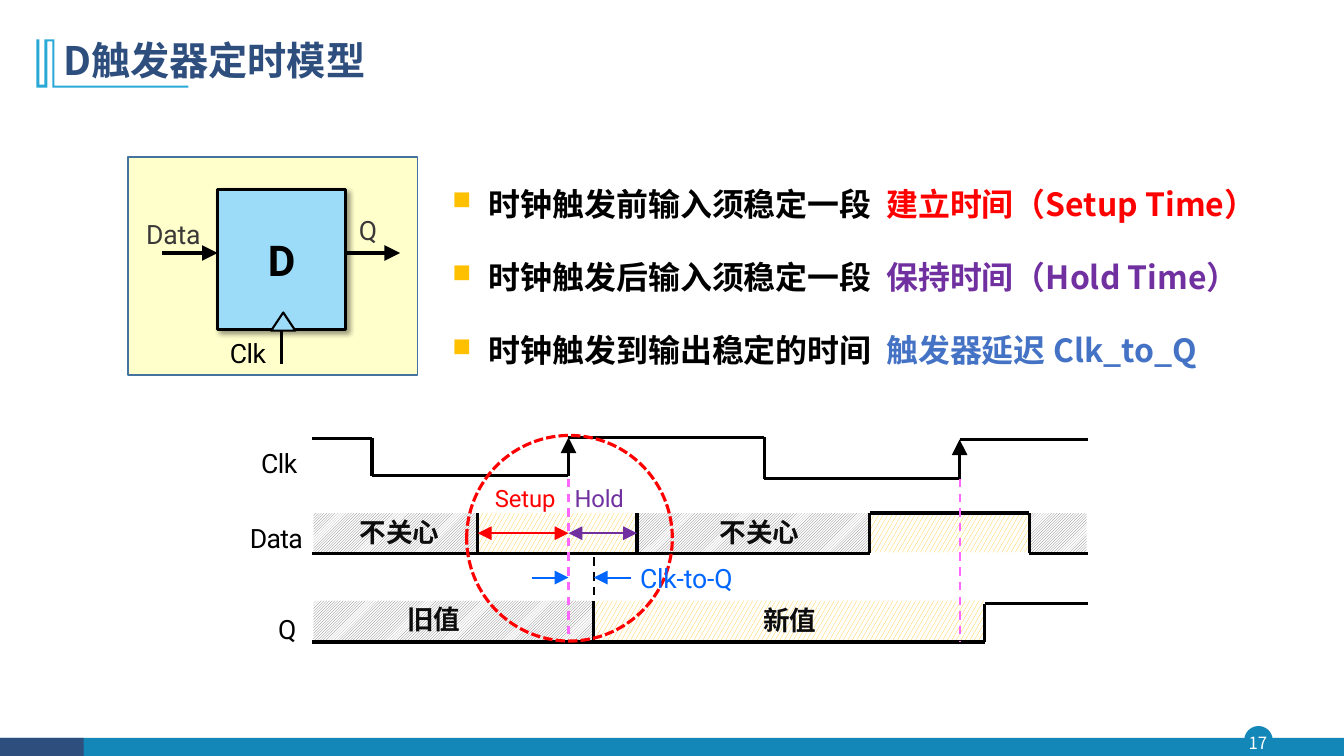
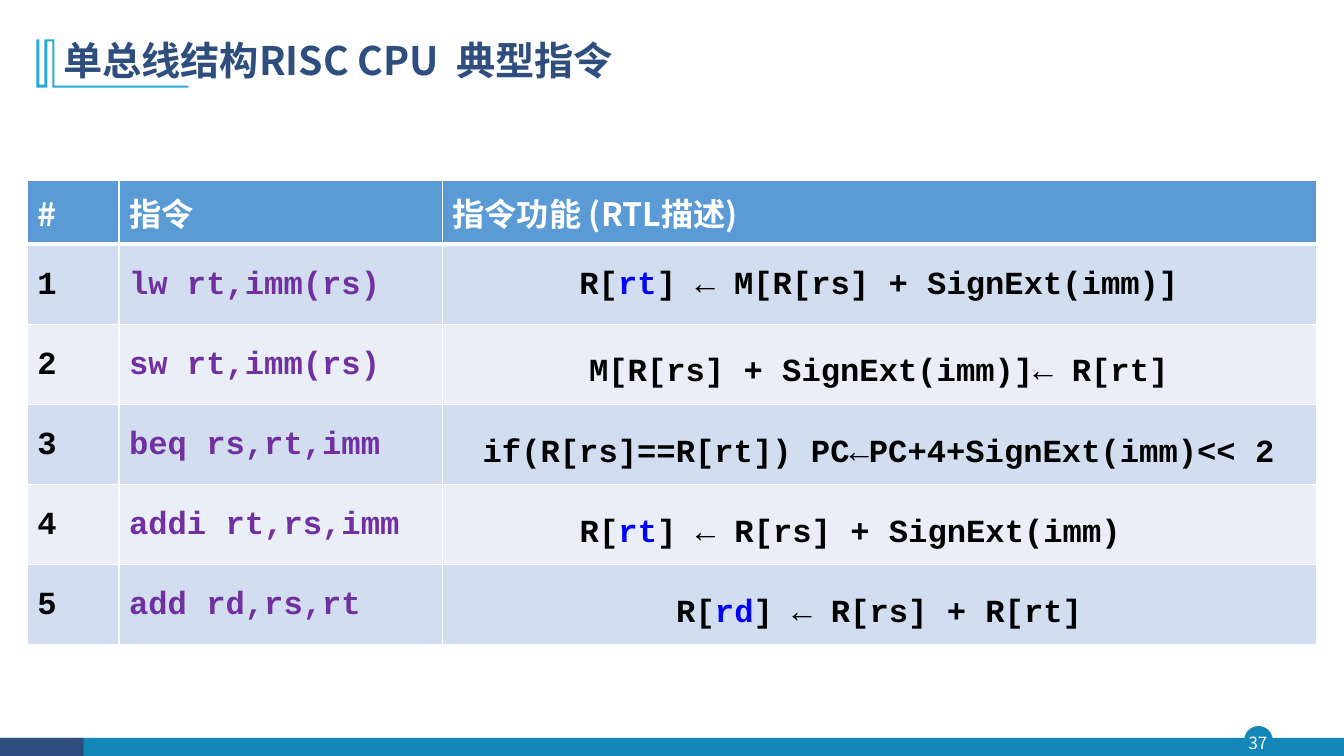
from dataclasses import dataclass
from itertools import pairwise

from pptx import Presentation
from pptx.dml.color import RGBColor
from pptx.enum.dml import MSO_LINE, MSO_PATTERN
from pptx.enum.shapes import MSO_CONNECTOR, MSO_SHAPE
from pptx.enum.text import MSO_ANCHOR, PP_ALIGN
from pptx.oxml import parse_xml
from pptx.oxml.ns import nsdecls, qn
from pptx.oxml.xmlchemy import OxmlElement
from pptx.util import Emu, Inches, Pt

GRID = Inches(0.1)
HEADING_FONT, LABEL_FONT, CODE_FONT = "Noto Sans CJK SC", "Roboto", "Courier New"

BLACK = RGBColor(0x00, 0x00, 0x00)
WHITE = RGBColor(0xFF, 0xFF, 0xFF)
INK = RGBColor(0x0D, 0x0D, 0x0D)
DARK_GREY = RGBColor(0x3B, 0x38, 0x38)
GREY = RGBColor(0x76, 0x71, 0x71)
NAVY = RGBColor(0x2E, 0x4E, 0x7E)
TEAL = RGBColor(0x13, 0x87, 0xB7)
SKY = RGBColor(0x28, 0xA9, 0xD6)
GOLD = RGBColor(0xFF, 0xC0, 0x00)
RED = RGBColor(0xFF, 0x00, 0x00)
PURPLE = RGBColor(0x70, 0x30, 0xA0)
STEEL = RGBColor(0x44, 0x72, 0xC4)
BLUE = RGBColor(0x00, 0x00, 0xFF)
BRIGHT_BLUE = RGBColor(0x00, 0x66, 0xFF)
PINK = RGBColor(0xFF, 0x66, 0xFF)
CREAM = RGBColor(0xFF, 0xFF, 0xCC)
CREAM_EDGE = RGBColor(0x43, 0x73, 0x9E)
PALE_BLUE = RGBColor(0x9C, 0xDC, 0xF8)
HEADER_FILL = RGBColor(0x5B, 0x9B, 0xD5)
ROW_FILLS = (RGBColor(0xD2, 0xDE, 0xEF), RGBColor(0xEA, 0xEF, 0xF7))

BULLETS = [
    ("时钟触发前输入须稳定一段  ", "建立时间（Setup Time）", RED),
    ("时钟触发后输入须稳定一段  ", "保持时间（Hold Time）", PURPLE),
    ("时钟触发到输出稳定的时间  ", "触发器延迟 Clk_to_Q", STEEL),
]
HEADERS = ["#", "指令", "指令功能 (RTL描述)"]
INSTRUCTIONS = [
    ("lw rt,imm(rs)", ["R[", ("rt", BLUE), "] ← M[R[rs] + SignExt(imm)]"]),
    ("sw rt,imm(rs)", ["M[R[rs] + SignExt(imm)]← R[rt]"]),
    ("beq rs,rt,imm", ["if(R[rs]==R[rt]) PC←PC+4+SignExt(imm)<< 2"]),
    ("addi rt,rs,imm", ["R[", ("rt", BLUE), "] ← R[rs] + SignExt(imm)"]),
    ("add rd,rs,rt", ["R[", ("rd", BLUE), "] ← R[rs] + R[rt]"]),
]


def units(count):
    return Emu(round(count * GRID))


@dataclass
class Region:
    """A part of the slide, measured in grid columns and rows."""
    left: float
    top: float
    cols: float
    rows: float

    def point(self, col, row):
        return units(self.left + col), units(self.top + row)

    def frame(self, col=0, row=0, cols=None, rows=None):
        width = self.cols if cols is None else cols
        height = self.rows if rows is None else rows
        return *self.point(col, row), units(width), units(height)


SLIDE = Region(0, 0, 133.33, 75)


def write(para, spans, *, size, font=LABEL_FONT, color=BLACK, bold=False,
          align=None, spacing=None, tracking=0):
    """Fill a paragraph; a span is a text or a (text, colour) pair."""
    para.alignment = align
    para.line_spacing = spacing
    for span in [spans] if isinstance(spans, str) else spans:
        text, span_color = (span, color) if isinstance(span, str) else span
        run = para.add_run()
        run.text = text
        run.font.name, run.font.size, run.font.bold = font, Pt(size), bold
        run.font.color.rgb = span_color
        properties = run.font._element
        if tracking:
            properties.set("spc", str(round(tracking * 100)))
        east_asian = OxmlElement("a:ea")
        east_asian.set("typeface", font)
        properties.find(qn("a:latin")).addnext(east_asian)


def add_text(page, frame, spans, *, anchor=MSO_ANCHOR.TOP, inset=True, **style):
    text_frame = page.shapes.add_textbox(*frame).text_frame
    text_frame.word_wrap = True
    text_frame.vertical_anchor = anchor
    if not inset:
        text_frame.margin_left = text_frame.margin_right = 0
        text_frame.margin_top = text_frame.margin_bottom = 0
    write(text_frame.paragraphs[0], spans, **style)


def add_label(page, region, text, col, row, *, size=19, leading=19.8,
              tracking=-0.1, **style):
    add_text(page, region.frame(col, row, 11, 2.8), text, inset=False,
             size=size, spacing=Pt(leading), tracking=tracking, **style)


def paint(shape, *, fill=None, pattern=None, line=None, width=1, dash=None):
    shape.shadow.inherit = False
    if pattern:
        shape.fill.patterned()
        shape.fill.pattern, shape.fill.fore_color.rgb = pattern
        shape.fill.back_color.rgb = WHITE
    elif fill is None:
        shape.fill.background()
    else:
        shape.fill.solid()
        shape.fill.fore_color.rgb = fill
    if line is None:
        shape.line.fill.background()
    else:
        shape.line.color.rgb = line
        shape.line.width = Pt(width)
        shape.line.dash_style = dash
    return shape


def add_block(page, frame, kind=MSO_SHAPE.RECTANGLE, **look):
    return paint(page.shapes.add_shape(kind, *frame), **look)


def add_line(page, region, start, end, *, color=BLACK, width=2.25, dash=None,
             arrows=()):
    """Draw a line; arrows names the ends with a head: headEnd, tailEnd."""
    line = page.shapes.add_connector(
        MSO_CONNECTOR.STRAIGHT, *region.point(*start), *region.point(*end))
    line.line.color.rgb = color
    line.line.width = Pt(width)
    line.line.dash_style = dash
    properties = line._element.spPr
    for name in arrows:
        arrow = OxmlElement(f"a:{name}")
        for key, value in (("type", "triangle"), ("w", "lg"), ("len", "lg")):
            arrow.set(key, value)
        properties.find(qn("a:ln")).append(arrow)
    properties.append(OxmlElement("a:effectLst"))
    return line


def add_title_mark(page, region):
    bottom, right = region.rows, region.cols
    outline = [(1.8, 0), (1.8, 4.6), (right, 4.6), (right, bottom),
               (1.6, bottom), (1.6, 0.2), (1.1, 0.2), (1.1, bottom),
               (0, bottom), (0, 0), (0.3, 0), (0.3, 4.5), (0.8, 4.5), (0.8, 0)]
    points = [(round(col * 10), round(row * 10)) for col, row in outline]
    builder = page.shapes.build_freeform(*points[0], scale=GRID / 10)
    builder.add_line_segments(points[1:], close=True)
    paint(builder.convert_to_shape(*region.point(0, 0)), fill=SKY)


def add_page(deck, title, number):
    """Add a slide with the shared title and footer."""
    page = deck.slides.add_slide(deck.slide_layouts[6])
    footer = Region(0, 72.1, SLIDE.cols, 2.9)
    add_block(page, footer.frame(123.5, 0, 2.7, 2.7), MSO_SHAPE.OVAL,
              fill=TEAL, line=TEAL)
    add_block(page, footer.frame(0, 1.1, rows=1.8), fill=TEAL)
    add_block(page, footer.frame(0, 1.1, 8.3, 1.8), fill=NAVY)
    add_text(page, footer.frame(123.2, 0, 3.2, 3.1), str(number), inset=False,
             anchor=MSO_ANCHOR.MIDDLE, align=PP_ALIGN.CENTER, size=12,
             font=HEADING_FONT, color=WHITE)
    add_title_mark(page, Region(3.6, 3.9, 15.1, 4.8))
    add_text(page, SLIDE.frame(5.3, 2.8, 115, 6.8), title, size=28, bold=True,
             anchor=MSO_ANCHOR.MIDDLE, font=HEADING_FONT, color=NAVY, spacing=0.9)
    return page


def add_bullets(page, region):
    text_frame = page.shapes.add_textbox(*region.frame()).text_frame
    text_frame.word_wrap = True
    for index, (lead, term, color) in enumerate(BULLETS):
        para = text_frame.add_paragraph() if index else text_frame.paragraphs[0]
        properties = para._p.get_or_add_pPr()
        properties.set("marL", str(units(3.6)))
        properties.set("indent", str(-units(3.6)))
        for xml in (f'<a:buClr {nsdecls("a")}><a:srgbClr val="{GOLD}"/></a:buClr>',
                    f'<a:buSzPct {nsdecls("a")} val="80000"/>',
                    f'<a:buChar {nsdecls("a")} char="■"/>'):
            properties.append(parse_xml(xml))
        para.space_after = Pt(5.7)
        if index:
            para.space_before = Pt(5.7)
        write(para, [lead, (term, color)], size=22.8, font=HEADING_FONT,
              bold=True, spacing=1.5)


def add_flip_flop(page, region):
    add_block(page, region.frame(), fill=CREAM, line=CREAM_EDGE)
    body = add_block(page, region.frame(8.9, 3.2, 12.7, 13.9), fill=PALE_BLUE,
                     line=BLACK, width=2.25)
    body._element.spPr.find(qn("a:effectLst")).append(parse_xml(
        f'<a:outerShdw {nsdecls("a")} blurRad="{Pt(4)}" dist="{Pt(3)}" '
        'dir="2700000"><a:srgbClr val="000000"><a:alpha val="40000"/>'
        '</a:srgbClr></a:outerShdw>'))
    body.text_frame.vertical_anchor = MSO_ANCHOR.MIDDLE
    write(body.text_frame.paragraphs[0], "D", size=30.3, bold=True,
          align=PP_ALIGN.CENTER)
    add_block(page, region.frame(14.2, 15.4, 2.4, 1.8),
              MSO_SHAPE.ISOSCELES_TRIANGLE, fill=PALE_BLUE, line=BLACK, width=1.5)
    for start, end in ((3.4, 8.9), (21.6, 27)):
        add_line(page, region, (start, 9.5), (end, 9.5), arrows=["tailEnd"])
    clock = add_line(page, region, (15.25, 17.1), (15.25, 20.5))
    clock.begin_connect(body, 2)
    add_label(page, region, "Data", 1.8, 6.4, color=DARK_GREY)
    add_label(page, region, "Q", 22.9, 6, color=DARK_GREY)
    add_label(page, region, "Clk", 10.1, 18.2, tracking=-0.3)


def add_wave(page, region, points, rising=()):
    """Join the points; the segments numbered in rising end in an arrow."""
    for index, (start, end) in enumerate(pairwise(points)):
        add_line(page, region, start, end,
                 arrows=["tailEnd"] if index in rising else ())


def add_timing_diagram(page, region):
    start, setup, edge, output, hold = 7, 23.4, 32.4, 34.9, 39.2
    rise, fall, next_edge, next_output, end = 62.3, 78.1, 71.2, 73.7, 83.9
    data_top, data_base, q_top, q_base = 7.9, 11.9, 16.6, 20.7
    unknown = MSO_PATTERN.LIGHT_UPWARD_DIAGONAL, GREY
    stable = MSO_PATTERN.LARGE_CONFETTI, GOLD

    for left, right, top, pattern in (
            (start, setup, data_top, unknown), (setup, hold, data_top, stable),
            (hold, rise, data_top, unknown), (rise, fall, data_top, stable),
            (fall, end, data_top, unknown), (start, output, q_top, unknown),
            (output, next_output, q_top, stable)):
        add_block(page, region.frame(left + 0.1, top, right - left - 0.2, 3.9),
                  pattern=pattern)

    add_wave(page, region, [
        (start, 0.5), (12.9, 0.5), (12.9, 4.2), (edge, 4.2), (edge, 0.4),
        (51.8, 0.4), (51.8, 4.5), (next_edge, 4.5), (next_edge, 0.6),
        (end, 0.6)], rising=(3, 7))
    add_wave(page, region, [(start, data_base), (rise, data_base),
                            (rise, data_top), (fall, data_top),
                            (fall, data_base), (end, data_base)])
    add_wave(page, region, [(start, q_base), (next_output, q_base),
                            (next_output, 16.9), (end, 16.9)])
    for col, top, base in ((setup, data_top, data_base),
                           (hold, data_top, data_base), (output, q_top, q_base)):
        add_line(page, region, (col, top), (col, base))

    add_block(page, region.frame(22.3, 0.2, 20.4, 20.4), MSO_SHAPE.OVAL,
              line=RED, width=2.25, dash=MSO_LINE.SQUARE_DOT)
    for col, top, base, color in ((output, 12.3, 16.3, BLACK),
                                  (edge, 4.5, 20.5, PINK),
                                  (next_edge, 4.5, q_base, PINK)):
        add_line(page, region, (col, top), (col, base), color=color, width=1.5,
                 dash=MSO_LINE.DASH)
    both, forward = ("headEnd", "tailEnd"), ("tailEnd",)
    for left, right, row, color, arrows in (
            (setup, edge, 9.9, RED, both), (edge, hold, 9.9, PURPLE, both),
            (28.8, edge, 14.3, BRIGHT_BLUE, forward),
            (38.6, output, 14.3, BRIGHT_BLUE, forward)):
        add_line(page, region, (left, row), (right, row), color=color,
                 width=1.5, arrows=arrows)

    for text, col, row in (("不关心", 11.7, 8.6), ("不关心", 47.4, 8.6),
                           ("旧值", 16.4, 17.2), ("新值", 51.7, 17.3)):
        add_label(page, region, text, col, row, font=HEADING_FONT, color=INK,
                  bold=True)
    add_label(page, region, "Clk", 1.9, 1.8, tracking=-0.3)
    add_label(page, region, "Data", 0.8, 9.2, tracking=-0.5)
    add_label(page, region, "Q", 3.6, 18.2)
    add_label(page, region, "Setup", 25.1, 5.1, size=17, color=RED)
    add_label(page, region, "Hold", 33, 5.1, size=17, color=PURPLE)
    add_label(page, region, "Clk-to-Q", 39.5, 12.8, leading=22.5,
              color=BRIGHT_BLUE)


def set_cell(cell, spans, fill, *, top=1, bottom=1, anchor=MSO_ANCHOR.MIDDLE, **style):
    properties = cell._tc.get_or_add_tcPr()
    for side, width in (("L", 1), ("R", 1), ("T", top), ("B", bottom)):
        properties.append(parse_xml(
            f'<a:ln{side} {nsdecls("a")} w="{Pt(width)}"><a:solidFill>'
            f'<a:srgbClr val="{WHITE}"/></a:solidFill></a:ln{side}>'))
    cell.fill.solid()
    cell.fill.fore_color.rgb = fill
    cell.vertical_anchor = anchor
    write(cell.text_frame.paragraphs[0], spans, size=23, bold=True, **style)


def add_instruction_table(page, region):
    table = page.shapes.add_table(len(INSTRUCTIONS) + 1, len(HEADERS),
                                  *region.frame()).table
    for column, width in zip(table.columns, (9.1, 32.1, 86.7)):
        column.width = units(width)
    for index, row in enumerate(table.rows):
        row.height = units(7.96 if index else 6.3)
    for col, header in enumerate(HEADERS):
        set_cell(table.cell(0, col), header, HEADER_FILL, bottom=3,
                 font=HEADING_FONT, color=WHITE)
    for row, (instruction, transfer) in enumerate(INSTRUCTIONS, start=1):
        look = dict(fill=ROW_FILLS[(row - 1) % 2], top=3 if row == 1 else 1,
                    font=CODE_FONT, spacing=1.5)
        set_cell(table.cell(row, 0), str(row), anchor=MSO_ANCHOR.TOP, **look)
        set_cell(table.cell(row, 1), instruction, anchor=MSO_ANCHOR.TOP,
                 color=PURPLE, **look)
        cell = table.cell(row, 2)
        set_cell(cell, transfer, align=PP_ALIGN.CENTER,
                 anchor=MSO_ANCHOR.TOP if row == 1 else MSO_ANCHOR.MIDDLE, **look)
        if row > 1:
            cell.margin_top = cell.margin_bottom = 0
        if instruction.startswith("addi"):
            cell.margin_right = units(6.7)


def main():
    deck = Presentation()
    deck.slide_width, deck.slide_height = units(SLIDE.cols), units(SLIDE.rows)

    page = add_page(deck, "D触发器定时模型", 17)
    add_bullets(page, Region(43.9, 15.9, 84.5, 21.6))
    add_flip_flop(page, Region(12.7, 15.6, 28.7, 21.6))
    add_timing_diagram(page, Region(24, 43, 84, 21))

    page = add_page(deck, "单总线结构RISC CPU  典型指令", 37)
    add_instruction_table(page, Region(2.7, 17.9, 127.9, 46.1))

    deck.save("out.pptx")


if __name__ == "__main__":
    main()
